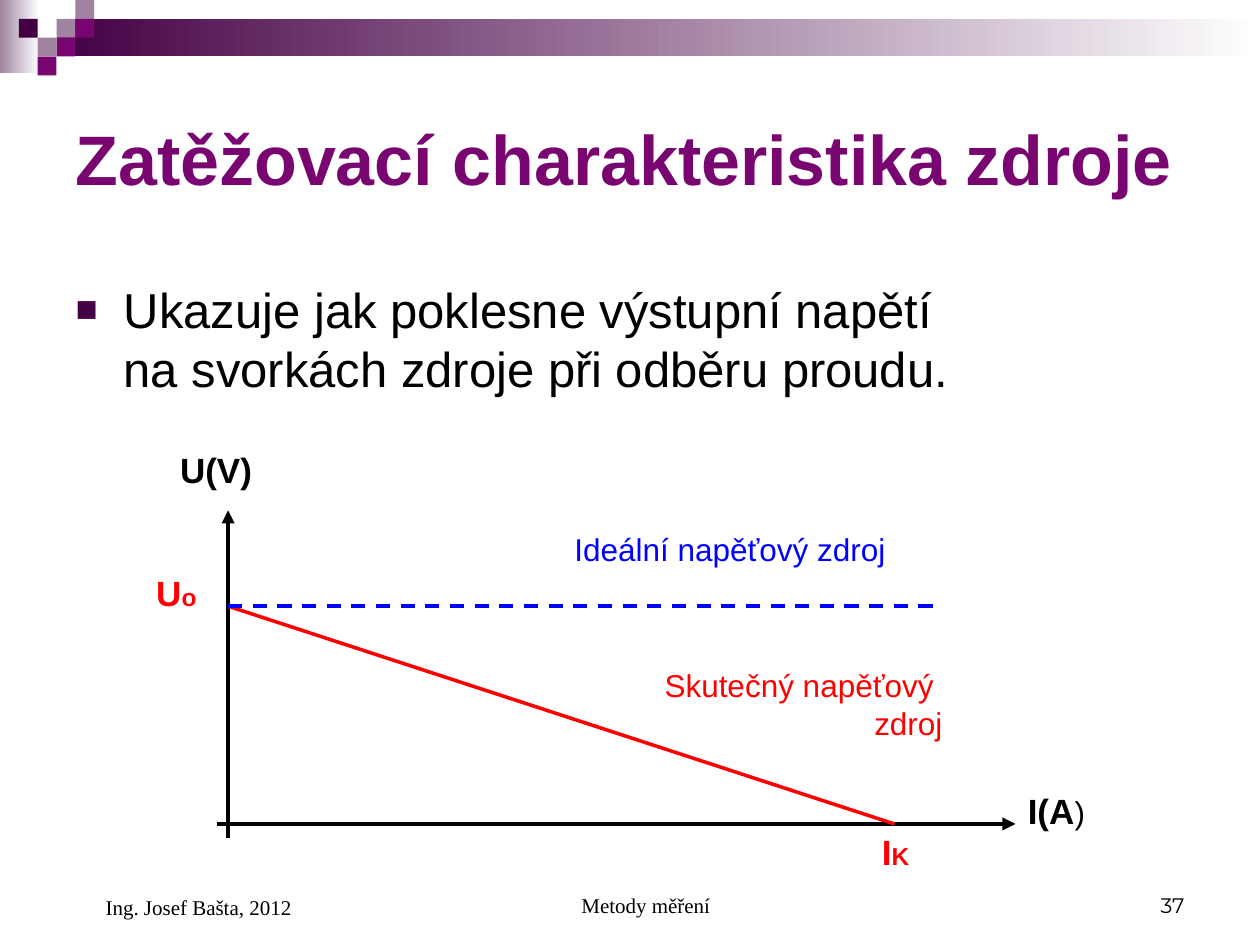
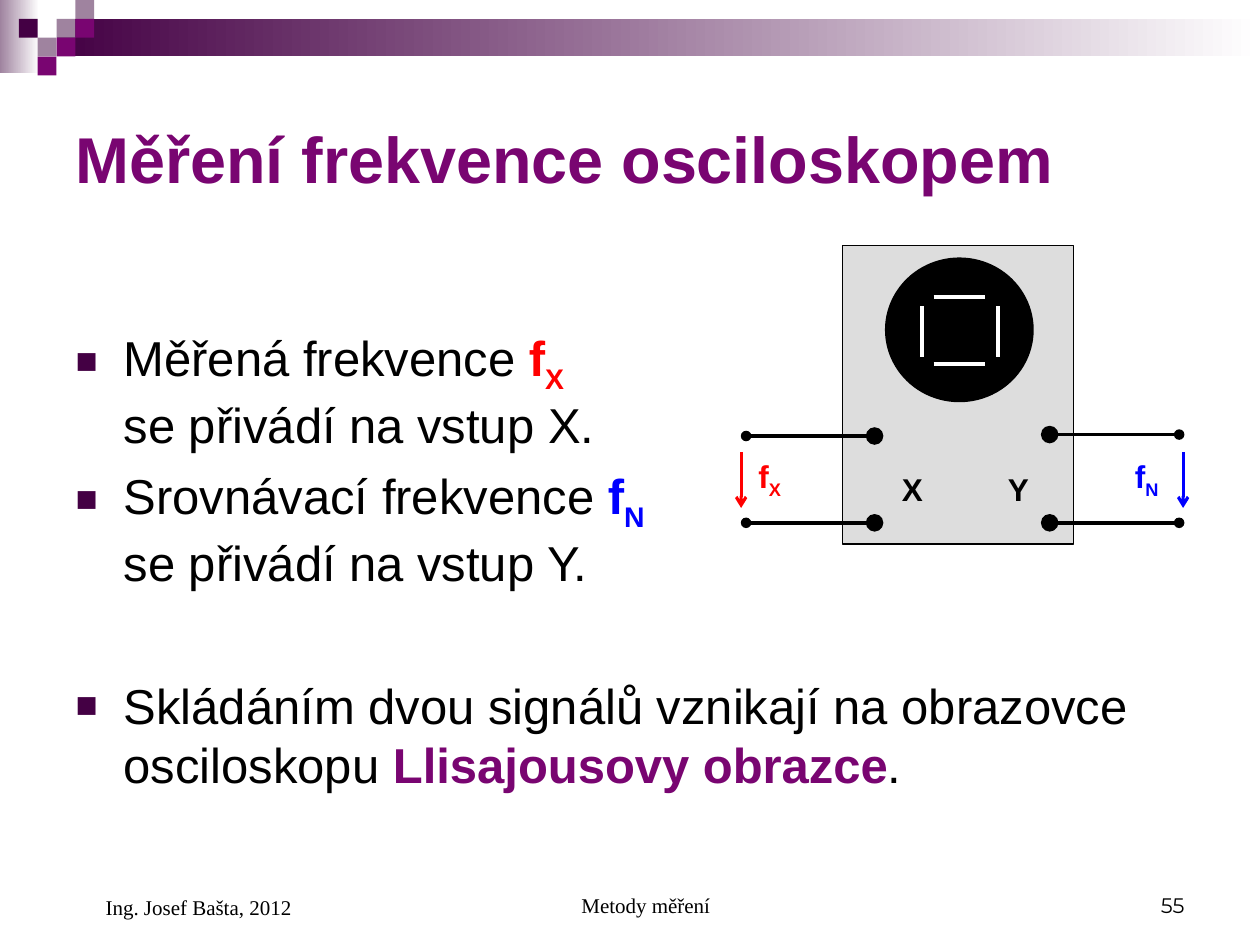
from lxml import etree
from pptx import Presentation
from pptx.dml.color import RGBColor
from pptx.enum import dml, shapes, text
from pptx.oxml import ns
from pptx.util import Cm, Pt

BLACK = RGBColor(0x00, 0x00, 0x00)
WHITE = RGBColor(0xFF, 0xFF, 0xFF)
GREY = RGBColor(0xDD, 0xDD, 0xDD)
RED = RGBColor(0xFF, 0x00, 0x00)
BLUE = RGBColor(0x00, 0x00, 0xFF)
PLUM = RGBColor(0x79, 0x05, 0x71)
DARK = RGBColor(0x44, 0x00, 0x44)
MAUVE = RGBColor(0x9F, 0x83, 0x9F)

LEFT, MID, RIGHT = text.PP_ALIGN.LEFT, text.PP_ALIGN.CENTER, text.PP_ALIGN.RIGHT
RECT, OVAL = shapes.MSO_SHAPE.RECTANGLE, shapes.MSO_SHAPE.OVAL

UNIT = 0.38
FADES = [((0, 0, 0.79, 1.47), MAUVE), ((1.14, UNIT, 24.26, 0.76), DARK)]
TILES = [(3, 1, MAUVE), (4, 0, MAUVE), (4, 1, PLUM), (2, 2, MAUVE),
         (1, 1, DARK), (3, 2, PLUM), (2, 3, PLUM)]
AUTHOR, COURSE = "Ing. Josef Bašta, 2012", "Metody měření"

LOAD = {
    "title": "Zatěžovací charakteristika zdroje", "size": 40, "page": "37",
    "body": (5.51, 3.02),
    "items": [
        (0, ["Ukazuje jak poklesne výstupní napětí \nna svorkách zdroje při odběru proudu."]),
    ],
}
SCOPE = {
    "title": "Měření frekvence osciloskopem", "size": 37, "page": "55",
    "body": (6.48, 9.86),
    "items": [
        (0, ["Měřená frekvence ", ("f", {"color": RED, "bold": True}),
             ("X", {"color": RED, "bold": True, "sub": True}),
             "\nse přivádí na vstup X."]),
        (7, ["Srovnávací frekvence ", ("f", {"color": BLUE, "bold": True}),
             ("N", {"color": BLUE, "bold": True, "sub": True}),
             "\nse přivádí na vstup Y."]),
        (48, ["Skládáním dvou signálů vznikají na obrazovce osciloskopu ",
              ("Llisajousovy obrazce", {"color": PLUM, "bold": True}), "."]),
    ],
}

ZERO_X, ZERO_Y, OPEN_Y, SHORT_X = 4.6, 16.61, 12.22, 18.03
PLOT_TAGS = [
    ((20.47, 15.8, 2.44, 1.12), ["I(A", (")", {"size": 18, "bold": False})], 20, BLACK, True, LEFT),
    ((3.38, 8.92, 2.44, 1.12), ["U(V)"], 20, BLACK, True, LEFT),
    ((17.53, ZERO_Y, 1.7, 1.12), ["I", ("K", {"size": 14})], 20, RED, True, LEFT),
    ((2.9, 11.4, 1.7, 1.12), ["U", ("o", {"size": 14})], 20, RED, True, LEFT),
    ((11.2, 13.31, 8.05, 1.78), ["Skutečný napěťový \nzdroj"], 18, RED, False, RIGHT),
    ((9.47, 10.57, 10.49, 1.02), ["Ideální napěťový zdroj"], 18, BLUE, False, MID),
]

TRACES = [(18.82, 5.99, 19.86, 5.99), (18.82, 7.34, 19.86, 7.34),
          (18.59, 6.17, 18.59, 7.19), (20.12, 6.17, 20.12, 7.19)]
WIRES = [(15.04, 17.63, 8.79), (15.04, 17.63, 10.54),
         (23.77, 21.16, 10.54), (23.77, 21.16, 8.76)]
INPUTS = [("X", 17.93), ("Y", 20.07)]
SIGNALS = [("X", RED, 14.94, 15.04), ("N", BLUE, 23.85, 22.63)]


def box(at):
    return [Cm(n) for n in at]


def style(font, size=None, color=None, bold=None, face=None):
    if size:
        font.size = Pt(size)
    if color is not None:
        font.color.rgb = color
    if bold is not None:
        font.bold = bold
    if face:
        font.name = face


def write(par, runs, size, color=BLACK, bold=False, align=LEFT, face="Arial"):
    par.alignment = align
    style(par.font, size, color, bold, face)
    for item in runs:
        words, look = (item, {}) if isinstance(item, str) else item
        look = dict(look)
        sub = look.pop("sub", False)
        for i, line in enumerate(words.split("\n")):
            if i:
                par.add_line_break()
            if line:
                run = par.add_run()
                run.text = line
                style(run.font, **look)
                if sub:
                    run._r.get_or_add_rPr().set("baseline", "-25000")


def label(slide, at, runs, size, color=BLACK, bold=False, align=LEFT,
          face="Arial", low=False, inset=0.25):
    frame = slide.shapes.add_textbox(*box(at)).text_frame
    frame.word_wrap = True
    frame.margin_left = Cm(inset)
    if low:
        frame.vertical_anchor = text.MSO_ANCHOR.BOTTOM
    write(frame.paragraphs[0], runs, size, color, bold, align, face)


def block(slide, kind, at, color, edge=None):
    shape = slide.shapes.add_shape(kind, *box(at))
    shape.shadow.inherit = False
    shape.fill.solid()
    shape.fill.fore_color.rgb = color
    if edge:
        shape.line.color.rgb = BLACK
        shape.line.width = Pt(edge)
    else:
        shape.line.fill.background()
    return shape


def line(slide, at, color, width, dash=None, head=None, tail=None, large=False):
    link = slide.shapes.add_connector(shapes.MSO_CONNECTOR.STRAIGHT, *box(at))
    link.line.color.rgb = color
    link.line.width = Pt(width)
    if dash:
        link.line.dash_style = dash
    ln = link.line._get_or_add_ln()
    for tag, tip in (("a:headEnd", head), ("a:tailEnd", tail)):
        if tip:
            end = etree.SubElement(ln, ns.qn(tag), type=tip)
            if large and tag == "a:tailEnd":
                end.set("w", "lg")
                end.set("len", "lg")
    etree.SubElement(link.element.spPr, ns.qn("a:effectLst"))


def bullet(par):
    props = par._p.get_or_add_pPr()
    indent = Cm(0.97)
    props.set("marL", str(indent))
    props.set("indent", str(-indent))
    tint = etree.SubElement(props, ns.qn("a:buClr"))
    etree.SubElement(tint, ns.qn("a:srgbClr"), val=str(DARK))
    etree.SubElement(props, ns.qn("a:buSzPct"), val="75000")
    etree.SubElement(props, ns.qn("a:buFont"), typeface="Arial")
    etree.SubElement(props, ns.qn("a:buChar"), char="■")


def place(holder, at):
    holder.left, holder.top, holder.width, holder.height = box(at)
    holder.text_frame.auto_size = text.MSO_AUTO_SIZE.NONE
    return holder.text_frame


def base(deck, data):
    slide = deck.slides.add_slide(deck.slide_layouts[1])
    for at, color in FADES:
        fill = block(slide, RECT, at, color).fill
        fill.gradient()
        fill.gradient_angle = 0
        for stop, tone, spot in zip(fill.gradient_stops, (color, WHITE), (0, 1)):
            stop.color.rgb = tone
            stop.position = spot
    for col, row, color in TILES:
        block(slide, RECT, (col * UNIT, row * UNIT, UNIT, UNIT), color)

    frame = place(slide.shapes.title, (1.27, 1.27, 22.86, 3.81))
    frame.vertical_anchor = text.MSO_ANCHOR.MIDDLE
    write(frame.paragraphs[0], [data["title"]], data["size"], PLUM, True)

    top, high = data["body"]
    frame = place(slide.placeholders[1], (1.27, top, 22.86, high))
    for i, (gap, runs) in enumerate(data["items"]):
        par = frame.add_paragraph() if i else frame.paragraphs[0]
        par.space_before = Pt(gap)
        bullet(par)
        write(par, runs, 28)

    serif = "Times New Roman"
    label(slide, (8.69, 17.35, 8.05, 1.27), [COURSE], 12, align=MID,
          face=serif, low=True, inset=0.86)
    label(slide, (18.21, 17.35, 5.92, 1.27), [data["page"]], 12, align=RIGHT,
          face="Montserrat", low=True)
    label(slide, (1.27, 17.35, 5.92, 1.32), [AUTHOR], 12,
          face=serif, low=True, inset=0.86)
    return slide


def plot(slide):
    line(slide, (4.37, ZERO_Y, 20.47, ZERO_Y), BLACK, 2.5, tail="triangle")
    line(slide, (ZERO_X, 16.89, ZERO_X, 10.29), BLACK, 2.5, tail="triangle")
    line(slide, (ZERO_X, OPEN_Y, SHORT_X, ZERO_Y), RED, 2)
    line(slide, (ZERO_X, OPEN_Y, 19, OPEN_Y), BLUE, 2, dash=dml.MSO_LINE.DASH)
    for tag in PLOT_TAGS:
        label(slide, *tag)


def scope(slide):
    block(slide, RECT, (16.99, 4.95, 4.65, 6.02), GREY, 0.75)
    block(slide, OVAL, (17.88, 5.23, 2.92, 2.84), BLACK, 2.25)
    for at in TRACES:
        line(slide, at, WHITE, 2.25)
    for outer, inner, y in WIRES:
        line(slide, (outer, y, inner, y), BLACK, 2, head="oval", tail="oval", large=True)
    for name, x in INPUTS:
        label(slide, (x, 9.35, 0.97, 1.02), [name], 18, bold=True)
    for name, color, x, left in SIGNALS:
        line(slide, (x, 9.12, x, 10.24), color, 1.75, tail="arrow")
        label(slide, (left, 9.09, 1.19, 1.12), ["f", (name, {"sub": True})], 18, color, True)


def main():
    deck = Presentation()
    deck.slide_width, deck.slide_height = Cm(25.4), Cm(19.05)
    plot(base(deck, LOAD))
    scope(base(deck, SCOPE))
    deck.save("out.pptx")


if __name__ == "__main__":
    main()
